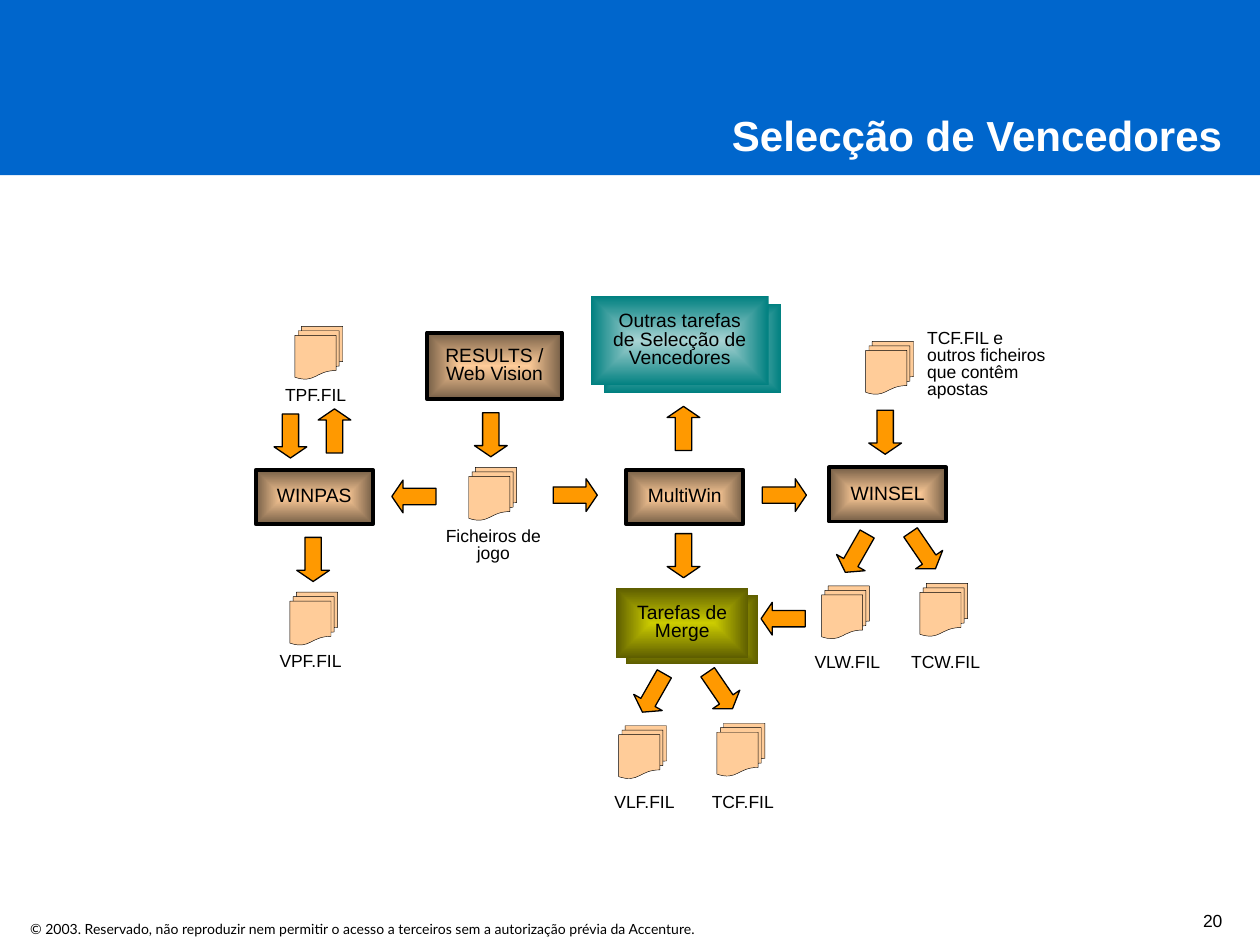
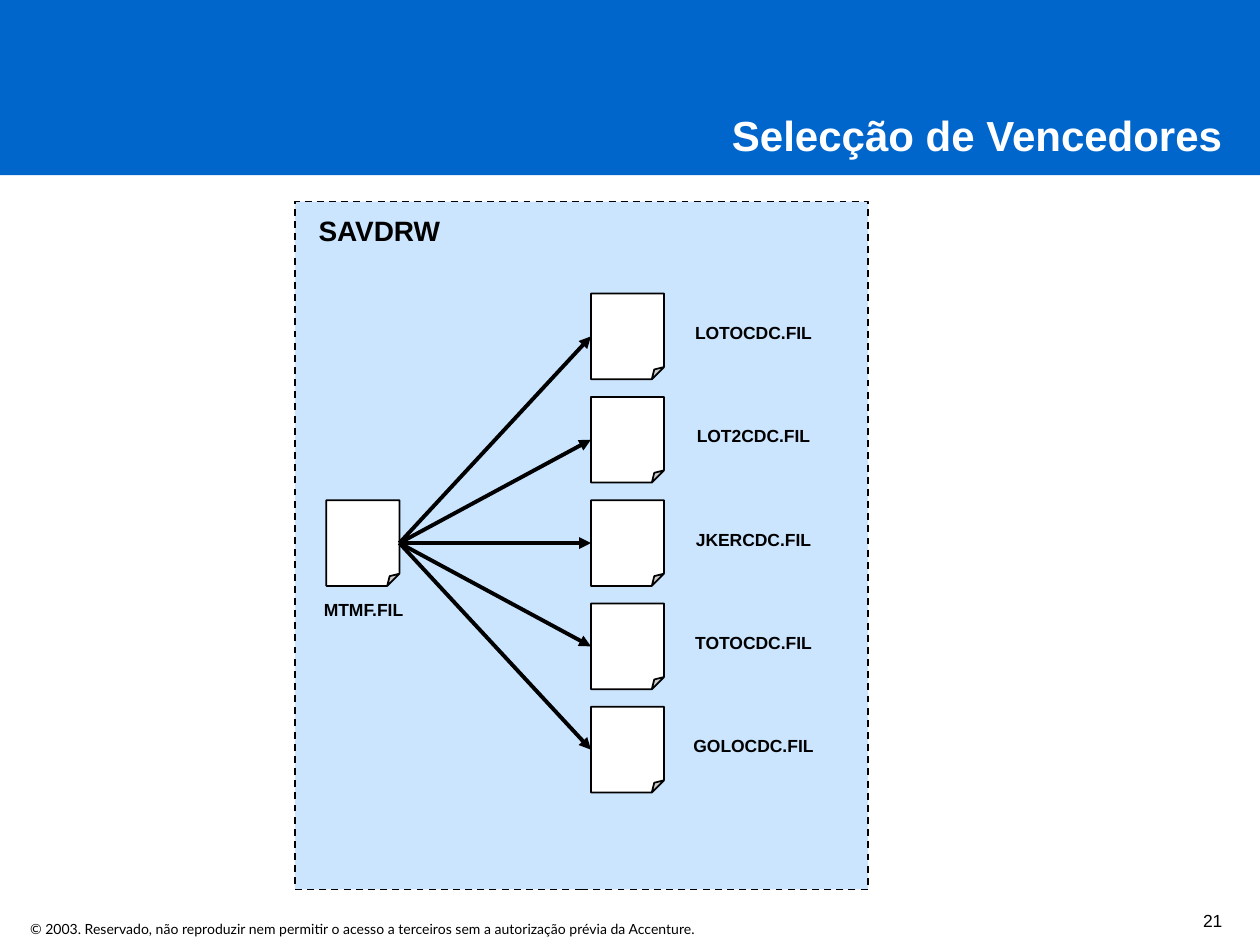
from dataclasses import dataclass

from pptx import Presentation
from pptx.dml.color import RGBColor
from pptx.enum import dml, shapes, text
from pptx.oxml import parse_xml
from pptx.oxml.ns import nsdecls, qn
from pptx.util import Inches, Pt

SHAPE = shapes.MSO_SHAPE
ALIGN = text.PP_ALIGN
ANCHOR = text.MSO_ANCHOR


@dataclass(frozen=True)
class Theme:
    font: str = "Arial"
    footer_font: str = "Lato"
    title_size: float = 24
    heading_size: float = 16
    box_size: float = 11
    label_size: float = 10
    footer_size: float = 8
    tight: float = 0.8
    black: str = "000000"
    white: str = "FFFFFF"
    band: str = "0066CC"
    arrow: str = "FF9900"
    document: str = "FFCC99"
    panel: str = "99CCFF"
    # centre and edge of each gradient
    program: tuple = ("FFCC99", "755E46")
    merge: tuple = ("CCCC00", "5E5E00")
    other_tasks: tuple = ("A8D3D3", "008080")


class SlideBuilder:
    def __init__(self, deck, theme):
        self.deck = deck
        self.theme = theme
        self.layout = deck.slide_layouts.get_by_name("Title Only")
        self.slide = None

    def new_slide(self, title, number):
        first = self.slide is None
        self.slide = self.deck.slides.add_slide(self.layout)
        if first:
            self.furnish_layout()
        box = self.slide.shapes.title
        box.left, box.top, box.width, box.height = map(Inches, (2.49, 0.82, 7.31, 0.5))
        self.set_text(box, title, self.theme.title_size, self.theme.white,
                      bold=True, align=ALIGN.RIGHT, spacing=1)
        self.label(str(number), 7.95, 7.14, 1.85, 0.3,
                   align=ALIGN.RIGHT, anchor=ANCHOR.BOTTOM)

    def furnish_layout(self):
        """Put the title band and the copyright line on the shared layout."""
        band = self.shape(SHAPE.RECTANGLE, 0, 0, 10, 1.39, self.theme.band)
        footer = self.label(
            "© 2003. Reservado, não reproduzir nem permitir o acesso a terceiros "
            "sem a autorização prévia da Accenture.",
            0.14, 7.26, 5.93, 0.24, size=self.theme.footer_size,
            font=self.theme.footer_font, align=ALIGN.LEFT, spacing=1)
        for position, item in enumerate((band, footer), start=2):
            self.layout.shapes.element.insert(position, item.element)

    def set_text(self, box, content, size, color, bold=False, align=ALIGN.CENTER,
                 anchor=ANCHOR.TOP, spacing=None, font=None, wrap=True):
        frame = box.text_frame
        frame.text = content
        frame.word_wrap = wrap
        frame.auto_size = text.MSO_AUTO_SIZE.NONE
        frame.vertical_anchor = anchor
        for paragraph in frame.paragraphs:
            paragraph.alignment = align
            paragraph.line_spacing = spacing or self.theme.tight
            paragraph.font.name = font or self.theme.font
            paragraph.font.size = Pt(size)
            paragraph.font.bold = bold
            paragraph.font.color.rgb = RGBColor.from_string(color)

    def label(self, content, left, top, width, height=0.24, size=None, **style):
        box = self.slide.shapes.add_textbox(*map(Inches, (left, top, width, height)))
        self.set_text(box, content, size or self.theme.label_size, self.theme.black, **style)
        return box

    def shape(self, kind, left, top, width, height, fill, line_width=0):
        """Add a preset shape; fill is a colour or a (centre, edge) gradient."""
        shape = self.slide.shapes.add_shape(kind, *map(Inches, (left, top, width, height)))
        shape.shadow.inherit = False
        if isinstance(fill, tuple):
            self.radiate(shape, *fill)
        else:
            shape.fill.solid()
            shape.fill.fore_color.rgb = RGBColor.from_string(fill)
        if line_width:
            shape.line.color.rgb = RGBColor.from_string(self.theme.black)
            shape.line.width = Pt(line_width)
        else:
            shape.line.fill.background()
        return shape

    @staticmethod
    def radiate(shape, centre, edge):
        """Fill with a rectangular gradient from the centre to the edge."""
        gradient = parse_xml(
            f'<a:gradFill {nsdecls("a")} rotWithShape="0"><a:gsLst>'
            f'<a:gs pos="0"><a:srgbClr val="{centre}"/></a:gs>'
            f'<a:gs pos="100000"><a:srgbClr val="{edge}"/></a:gs></a:gsLst>'
            '<a:path path="rect"><a:fillToRect l="50000" t="50000" r="50000" b="50000"/>'
            '</a:path></a:gradFill>')
        shape.element.spPr.find(qn("a:prstGeom")).addnext(gradient)

    def box(self, content, left, top, width, height, fill, line_width=0):
        box = self.shape(SHAPE.RECTANGLE, left, top, width, height, fill, line_width)
        self.set_text(box, content, self.theme.box_size, self.theme.black,
                      anchor=ANCHOR.MIDDLE, wrap=False)

    def program(self, content, left, top, width=0.93, height=0.43):
        self.box(content, left, top, width, height, self.theme.program, 2.25)

    def stacked_box(self, content, left, top, width, height, offset, fill):
        across, down = offset
        self.shape(SHAPE.RECTANGLE, left + across, top + down, width, height, fill)
        self.box(content, left, top, width, height, fill)

    def block_arrow(self, left, top, rotation=0):
        arrow = self.shape(SHAPE.RIGHT_ARROW, left, top, 0.35, 0.26, self.theme.arrow, 0.75)
        arrow.adjustments[1] = 0.34
        arrow.rotation = rotation

    def documents(self, left, top):
        self.shape(SHAPE.FLOWCHART_MULTIDOCUMENT, left, top, 0.38, 0.42,
                   self.theme.document, 0.25)

    def captioned_documents(self, caption, left, top, shift=-0.35, drop=0.44, height=0.24):
        self.documents(left, top)
        self.label(caption, left + shift, top + drop, 1.03, height)

    def fork(self, left, top, left_file, right_file):
        """Two slanted arrows, each leading down to its own documents."""
        self.block_arrow(left + 0.1, top, 119.7)
        self.block_arrow(left + 0.63, top - 0.02, 55.7)
        self.captioned_documents(left_file, left, top + 0.39, -0.31, 0.5)
        self.captioned_documents(right_file, left + 0.78, top + 0.37, -0.31, 0.52)

    def page(self, left, top):
        return self.shape(SHAPE.FOLDED_CORNER, left, top, 0.58, 0.68, self.theme.white, 1)

    def panel(self, left, top, width, height):
        panel = self.shape(SHAPE.RECTANGLE, left, top, width, height, self.theme.panel, 1)
        panel.line.dash_style = dml.MSO_LINE.DASH
        color = panel.element.spPr.find(qn("a:solidFill")).find(qn("a:srgbClr"))
        color.append(parse_xml(f'<a:alpha {nsdecls("a")} val="50000"/>'))

    def connect(self, source, target):
        """Draw an arrow from the right side of source to the left side of target."""
        line = self.slide.shapes.add_connector(shapes.MSO_CONNECTOR.STRAIGHT, 0, 0, 0, 0)
        line.begin_connect(source, 3)
        line.end_connect(target, 1)
        line.line.color.rgb = RGBColor.from_string(self.theme.black)
        line.line.width = Pt(2.25)
        properties = line.element.spPr
        properties.find(qn("a:ln")).append(
            parse_xml(f'<a:tailEnd {nsdecls("a")} type="triangle"/>'))
        properties.append(parse_xml(f'<a:effectLst {nsdecls("a")}/>'))


def add_winner_flow(builder):
    theme = builder.theme
    builder.new_slide("Selecção de Vencedores", 20)

    builder.program("RESULTS /\nWeb Vision", 3.39, 2.64, 1.07, 0.53)
    builder.program("WINPAS", 2.03, 3.73)
    builder.program("MultiWin", 4.97, 3.73)
    builder.program("WINSEL", 6.58, 3.71)
    builder.stacked_box("Outras tarefas\nde Selecção de\nVencedores",
                        4.69, 2.35, 1.41, 0.71, (0.1, 0.06), theme.other_tasks)
    builder.stacked_box("Tarefas de\nMerge", 4.89, 4.67, 1.05, 0.55,
                        (0.08, 0.05), theme.merge)

    right, down, left, up = 0, 90, 180, 270
    for x, y, direction in (
            (4.39, 3.8, right), (6.05, 3.8, right),
            (3.11, 3.81, left), (6.04, 4.78, left),
            (2.13, 3.33, down), (3.72, 3.32, down), (6.85, 3.3, down),
            (2.31, 4.31, down), (5.25, 4.28, down),
            (2.48, 3.29, up), (5.25, 3.27, up)):
        builder.block_arrow(x, y, direction)

    builder.captioned_documents("TPF.FIL", 2.34, 2.59)
    builder.captioned_documents("VPF.FIL", 2.3, 4.7)
    builder.captioned_documents("Ficheiros de jogo", 3.72, 3.71, shift=-0.32, height=0.37)
    builder.documents(6.87, 2.71)
    builder.label("TCF.FIL e outros ficheiros que contêm apostas",
                  7.26, 2.58, 1.15, 0.64, align=ALIGN.LEFT)
    builder.fork(6.52, 4.26, "VLW.FIL", "TCW.FIL")
    builder.fork(4.91, 5.37, "VLF.FIL", "TCF.FIL")


def add_draw_files(builder):
    builder.new_slide("Selecção de Vencedores", 21)
    builder.panel(2.34, 1.6, 4.55, 5.46)
    builder.label("SAVDRW", 2.43, 1.7, 3.2, 0.32, size=builder.theme.heading_size,
                  bold=True, align=ALIGN.LEFT)

    master_file = builder.page(2.59, 3.97)
    builder.label("MTMF.FIL", 2.43, 4.74, 0.91, bold=True)

    games = ("LOTOCDC.FIL", "LOT2CDC.FIL", "JKERCDC.FIL", "TOTOCDC.FIL", "GOLOCDC.FIL")
    for row, game in enumerate(games):
        top = 2.33 + 0.82 * row
        game_file = builder.page(4.69, top)
        builder.label(game, 5.4, top + 0.21, 1.16, bold=True)
        builder.connect(master_file, game_file)


def main():
    deck = Presentation()
    deck.slide_width, deck.slide_height = Inches(10), Inches(7.5)
    builder = SlideBuilder(deck, Theme())
    add_winner_flow(builder)
    add_draw_files(builder)
    deck.save("out.pptx")


if __name__ == "__main__":
    main()
